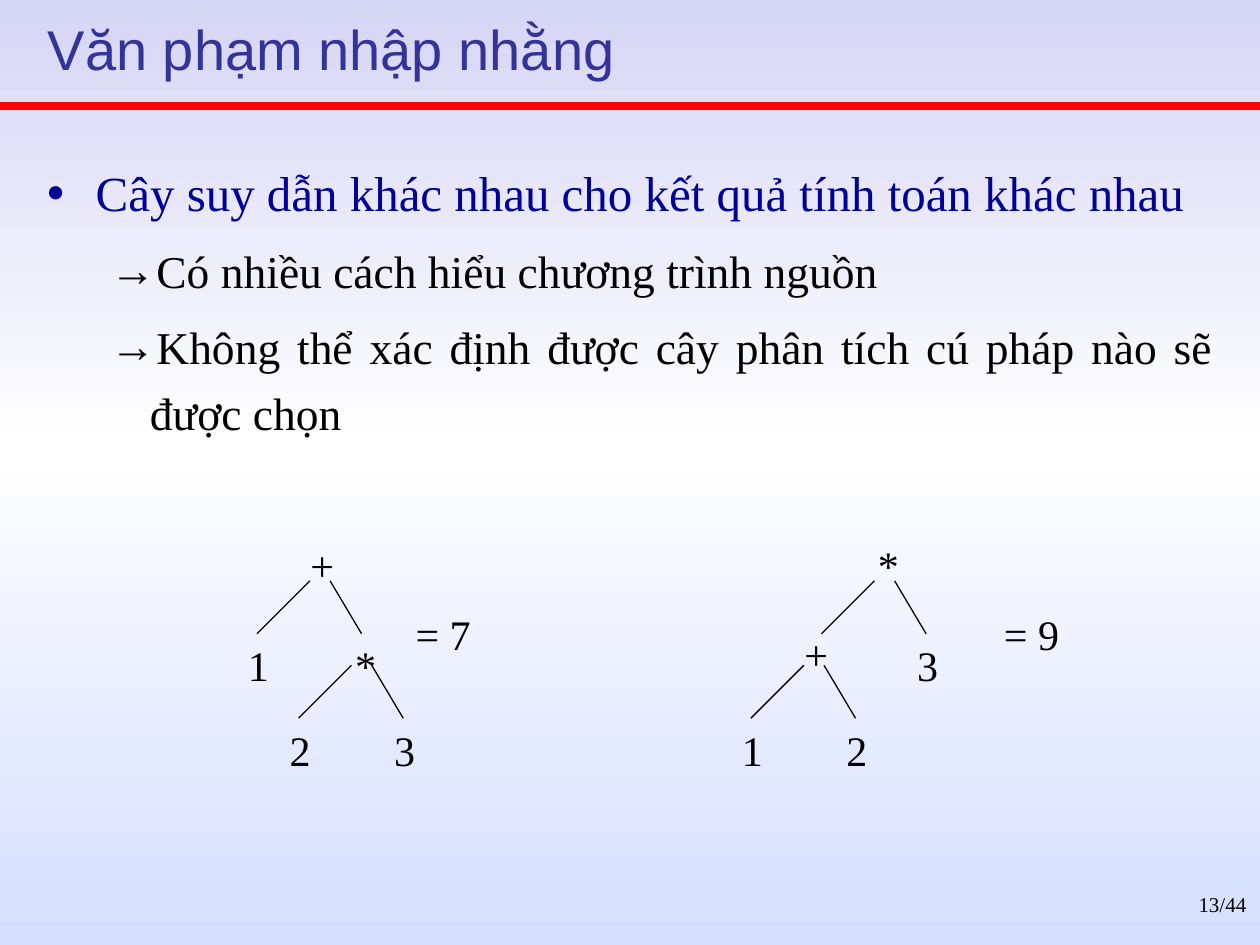
import copy
from dataclasses import dataclass

import pptx
import pptx.dml.color
import pptx.enum.shapes
import pptx.enum.text
import pptx.oxml
import pptx.oxml.ns
import pptx.util

ALIGN = pptx.enum.text.PP_ALIGN
ANCHOR = pptx.enum.text.MSO_ANCHOR
FIT = pptx.enum.text.MSO_AUTO_SIZE
qn = pptx.oxml.ns.qn


@dataclass(frozen=True)
class Theme:
    heading_font: str = "Arial"
    text_font: str = "Times New Roman"
    heading: str = "333399"
    point: str = "000099"
    ink: str = "000000"
    rule: str = "FF0000"
    backdrop: tuple = ((0, "D6D6F5"), (0.48, "FFFFFF"), (1, "D4DEFF"))
    title_size: int = 32
    point_size: int = 28
    detail_size: int = 26
    node_size: int = 24
    page_size: int = 12


def colour(code):
    return pptx.dml.color.RGBColor.from_string(code)


def assign(target, values):
    for name, value in values.items():
        setattr(target, name, value)


class SlideBuilder:
    """Places elements on a grid of 100 columns by 75 rows."""

    def __init__(self, deck, theme):
        self.theme = theme
        self.slide = deck.slides.add_slide(deck.slide_layouts[1])
        self.column = deck.slide_width / 100
        self.row = deck.slide_height / 75

    def spot(self, column, row):
        return round(column * self.column), round(row * self.row)

    def place(self, shape, column, row, columns, rows):
        left, top = self.spot(column, row)
        width, height = self.spot(columns, rows)
        assign(shape, dict(left=left, top=top, width=width, height=height))

    def add_span(self, para, text, font, size, code, **layout):
        assign(para, layout)
        span = para.add_run()
        span.text = text
        assign(span.font, dict(name=font, size=pptx.util.Pt(size)))
        span.font.color.rgb = colour(code)

    def background(self):
        fill = self.slide.background.fill
        fill.gradient()
        fill.gradient_angle = 270
        stops = self.slide.element.find(".//" + qn("a:gsLst"))
        stops.append(copy.deepcopy(stops[-1]))
        for stop, (position, code) in zip(fill.gradient_stops, self.theme.backdrop):
            stop.position = position
            stop.color.rgb = colour(code)

    def title(self, text, *area):
        box = self.slide.shapes.title
        self.place(box, *area)
        assign(box.text_frame, dict(vertical_anchor=ANCHOR.MIDDLE, auto_size=FIT.NONE))
        self.add_span(box.text_frame.paragraphs[0], text, self.theme.heading_font,
                      self.theme.title_size, self.theme.heading, alignment=ALIGN.LEFT)

    def bullets(self, items, *area):
        theme = self.theme
        levels = ((theme.point_size, theme.point, "•", 0.38, -0.38),
                  (theme.detail_size, theme.ink, "→", 0.81, -0.31))
        box = self.slide.placeholders[1]
        self.place(box, *area)
        frame = box.text_frame
        assign(frame, dict(vertical_anchor=ANCHOR.TOP, auto_size=FIT.NONE))
        for index, (level, text) in enumerate(items):
            para = frame.add_paragraph() if index else frame.paragraphs[0]
            size, code, mark, margin, indent = levels[level]
            self.add_span(para, text, theme.text_font, size, code, level=level,
                          alignment=ALIGN.JUSTIFY, line_spacing=1.2,
                          space_before=pptx.util.Pt(0), space_after=pptx.util.Pt(6))
            properties = para._p.get_or_add_pPr()
            properties.set("marL", str(pptx.util.Inches(margin)))
            properties.set("indent", str(pptx.util.Inches(indent)))
            for tag, key, value in (("a:buFont", "typeface", theme.heading_font),
                                    ("a:buChar", "char", mark)):
                bullet = pptx.oxml.parse_xml(f"<{tag} {pptx.oxml.ns.nsdecls('a')}/>")
                bullet.set(key, value)
                properties.append(bullet)

    def label(self, text, size, area, home=None, wrap=False, align=ALIGN.LEFT):
        box = (home or self.slide).shapes.add_textbox(0, 0, 0, 0)
        self.place(box, *area)
        assign(box.text_frame, dict(word_wrap=wrap, auto_size=FIT.SHAPE_TO_FIT_TEXT))
        self.add_span(box.text_frame.paragraphs[0], text, self.theme.text_font, size,
                      self.theme.ink, alignment=align)

    def line(self, start, end, code, width, home=None):
        line = (home or self.slide).shapes.add_connector(
            pptx.enum.shapes.MSO_CONNECTOR.STRAIGHT, *self.spot(*start), *self.spot(*end))
        line.line.color.rgb = colour(code)
        line.line.width = pptx.util.Pt(width)
        line._element.spPr.append(
            pptx.oxml.parse_xml(f"<a:effectLst {pptx.oxml.ns.nsdecls('a')}/>"))

    def node(self, symbol, centre, top, home):
        width = {"*": 3, "+": 3.5}.get(symbol, 3.4)
        self.label(symbol, self.theme.node_size, (centre - width / 2, top, width, 4), home)

    def tree(self, branch, centre, top, fork_row, home=None):
        """Draws (operator, left, right); each operand is a digit or a branch."""
        home = home or self.slide.shapes.add_group_shape()
        symbol, *operands = branch
        self.node(symbol, centre, top, home)
        end_row = fork_row + 4.2
        for operand, start, reach in zip(operands, (-0.8, 0.8), (-5, 3.3)):
            end = centre + reach
            self.line((centre + start, fork_row), (end, end_row), self.theme.ink, 0.75, home)
            if isinstance(operand, str):
                self.node(operand, end, end_row, home)
            else:
                # A branch on the left sits slightly up and out
                shift, lift = (0.6, 0.9) if reach < 0 else (0, 0)
                self.tree(operand, end - shift, end_row - lift, fork_row + 6.7, home)


deck = pptx.Presentation()
assign(deck, dict(slide_width=pptx.util.Inches(10), slide_height=pptx.util.Inches(7.5)))
theme = Theme()
page = SlideBuilder(deck, theme)

# Frame: backdrop, red rule and page number
page.background()
page.line((0, 8.4), (100, 8.4), theme.rule, 4.5)
page.label("13/44", theme.page_size, (88.9, 70.3, 11, 3), wrap=True, align=ALIGN.RIGHT)

# Title and points
page.title("Văn phạm nhập nhằng", 2.8, 0, 97.2, 7.6)
page.bullets((
    (0, "Cây suy dẫn khác nhau cho kết quả tính toán khác nhau"),
    (1, "Có nhiều cách hiểu chương trình nguồn"),
    (1, "Không thể xác định được cây phân tích cú pháp nào sẽ được chọn"),
), 2.8, 11.5, 94.5, 27.5)

# The two derivation trees with their results
for branch, centre, result, result_column in (
        (("*", ("+", "1", "2"), "3"), 70.2, "= 9", 78.7),
        (("+", "1", ("*", "2", "3")), 25.4, "= 7", 32)):
    page.tree(branch, centre, 42.3, 46.1)
    page.label(result, theme.node_size, (result_column, 47.8, 6.7, 5))

deck.save("out.pptx")
